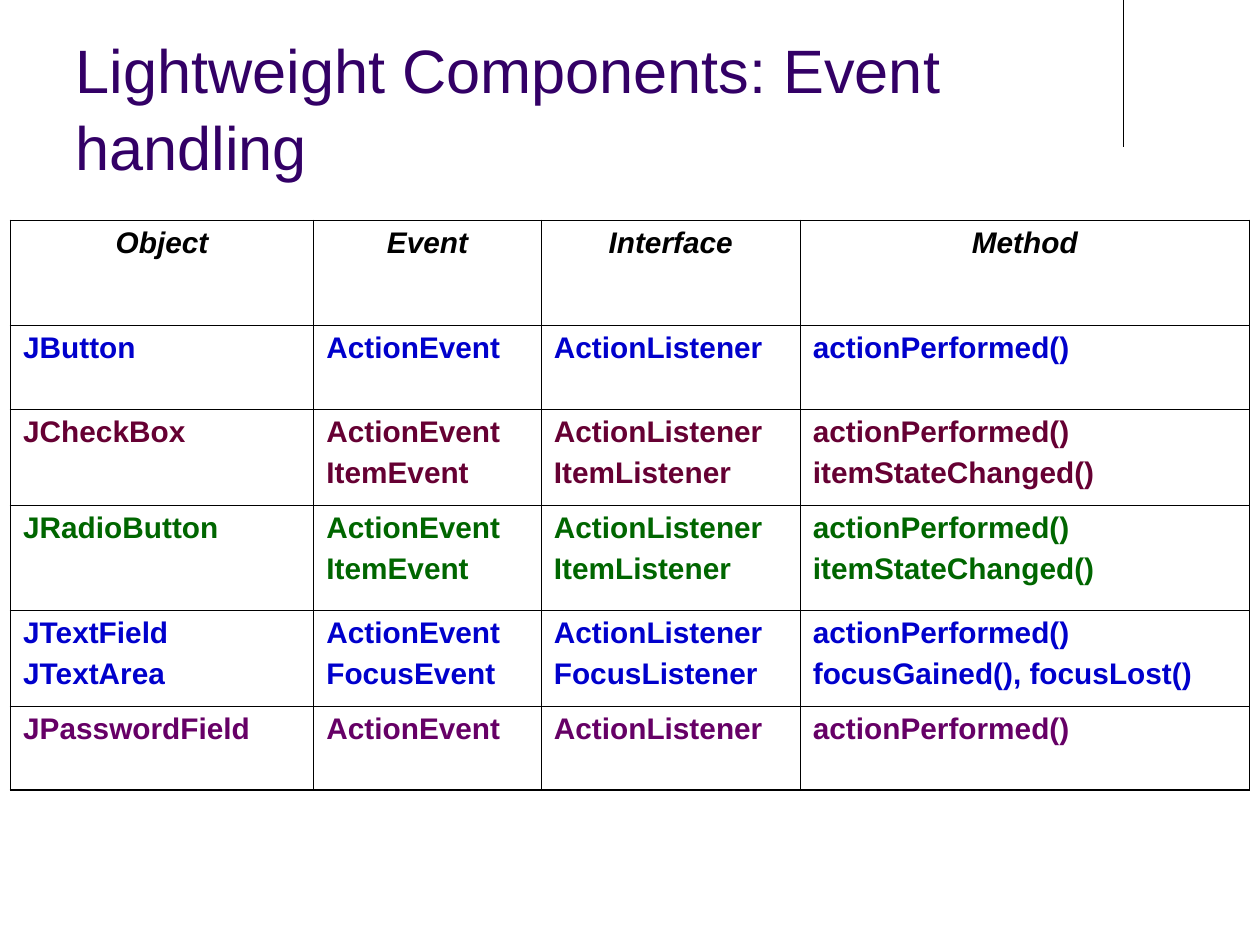
from lxml import etree
from pptx import Presentation
from pptx.dml.color import RGBColor
from pptx.enum.shapes import MSO_CONNECTOR
from pptx.enum.text import MSO_ANCHOR, PP_ALIGN
from pptx.oxml.ns import qn
from pptx.util import Pt

STRAIGHT = MSO_CONNECTOR.STRAIGHT
MIDDLE = MSO_ANCHOR.MIDDLE
CENTER, LEFT = PP_ALIGN.CENTER, PP_ALIGN.LEFT

# Content: each row is a colour, a height and one list of lines per column
TITLE = "Lightweight Components: Event handling"
ACTION = ("ActionEvent", "ActionListener", "actionPerformed()")
ITEM = ("ItemEvent", "ItemListener", "itemStateChanged()")
FOCUS = ("FocusEvent", "FocusListener", "focusGained(), focusLost()")


def component_row(color, height, components, *handlers):
    return color, height, [components, *zip(*handlers)]


ROWS = [
    ("black", 60, [["Object"], ["Event"], ["Interface"], ["Method"]]),
    component_row("blue", 48, ["JButton"], ACTION),
    component_row("maroon", 54.9, ["JCheckBox"], ACTION, ITEM),
    component_row("green", 60, ["JRadioButton"], ACTION, ITEM),
    component_row("blue", 54.9, ["JTextField", "JTextArea"], ACTION, FOCUS),
    component_row("purple", 47.6, ["JPasswordField"], ACTION),
]
COLUMN_WIDTHS = [173.3, 130, 148, 256.7]
TABLE_LEFT, TABLE_TOP = 6, 126

THEME = {
    "font": "Arial",
    "title_size": 35, "table_size": 17,
    "title": "330066", "black": "000000", "blue": "0000CC",
    "maroon": "660033", "green": "006600", "purple": "660066",
    "rule": 0.75, "inner_border": 0.45, "outer_border": 1.08,
}


def style(paragraph, size, color, bold=False, italic=False):
    font = paragraph.font
    font.name = THEME["font"]
    font.size = Pt(THEME[size])
    font.color.rgb = RGBColor.from_string(THEME[color])
    font.bold, font.italic = bold, italic


def set_borders(cell, outer_sides):
    """Thick lines on the table's edge, thin ones inside."""
    properties = cell._tc.get_or_add_tcPr()
    for position, side in enumerate(("lnL", "lnR", "lnT", "lnB")):
        width = THEME["outer_border" if outer_sides[position] else "inner_border"]
        line = etree.Element(qn(f"a:{side}"), w=str(int(Pt(width))))
        fill = etree.SubElement(line, qn("a:solidFill"))
        etree.SubElement(fill, qn("a:srgbClr"), val=THEME["black"])
        properties.insert(position, line)


def add_title(slide):
    frame = slide.shapes.add_textbox(Pt(36), Pt(9.36), Pt(594), Pt(102.24)).text_frame
    frame.word_wrap = True
    frame.vertical_anchor = MIDDLE
    heading = frame.paragraphs[0]
    heading.text = TITLE
    heading.line_spacing = 1.05
    style(heading, "title_size", "title")


def add_corner_rule(slide):
    rule = slide.shapes.add_connector(STRAIGHT, Pt(642), Pt(0), Pt(642), Pt(84))
    rule.line.color.rgb = RGBColor.from_string(THEME["black"])
    rule.line.width = Pt(THEME["rule"])
    etree.SubElement(rule._element.spPr, qn("a:effectLst"))


def add_event_table(slide):
    row_count, column_count = len(ROWS), len(COLUMN_WIDTHS)
    table = slide.shapes.add_table(
        row_count, column_count, Pt(TABLE_LEFT), Pt(TABLE_TOP),
        Pt(sum(COLUMN_WIDTHS)), Pt(sum(height for _, height, _ in ROWS))).table
    table.horz_banding = False
    for column, width in zip(table.columns, COLUMN_WIDTHS):
        column.width = Pt(width)

    for r, (color, height, columns) in enumerate(ROWS):
        table.rows[r].height = Pt(height)
        is_header = r == 0
        for c, lines in enumerate(columns):
            cell = table.cell(r, c)
            cell.fill.background()
            set_borders(cell, (c == 0, c == column_count - 1,
                               is_header, r == row_count - 1))
            cell.text = "\n".join(lines)
            for paragraph in cell.text_frame.paragraphs:
                paragraph.alignment = CENTER if is_header else LEFT
                paragraph.space_before = Pt(4.2)
                style(paragraph, "table_size", color, bold=True, italic=is_header)


def main():
    deck = Presentation()
    deck.slide_width, deck.slide_height = Pt(720), Pt(540)
    slide = deck.slides.add_slide(deck.slide_layouts[6])
    add_corner_rule(slide)
    add_title(slide)
    add_event_table(slide)
    deck.save("out.pptx")


if __name__ == "__main__":
    main()
